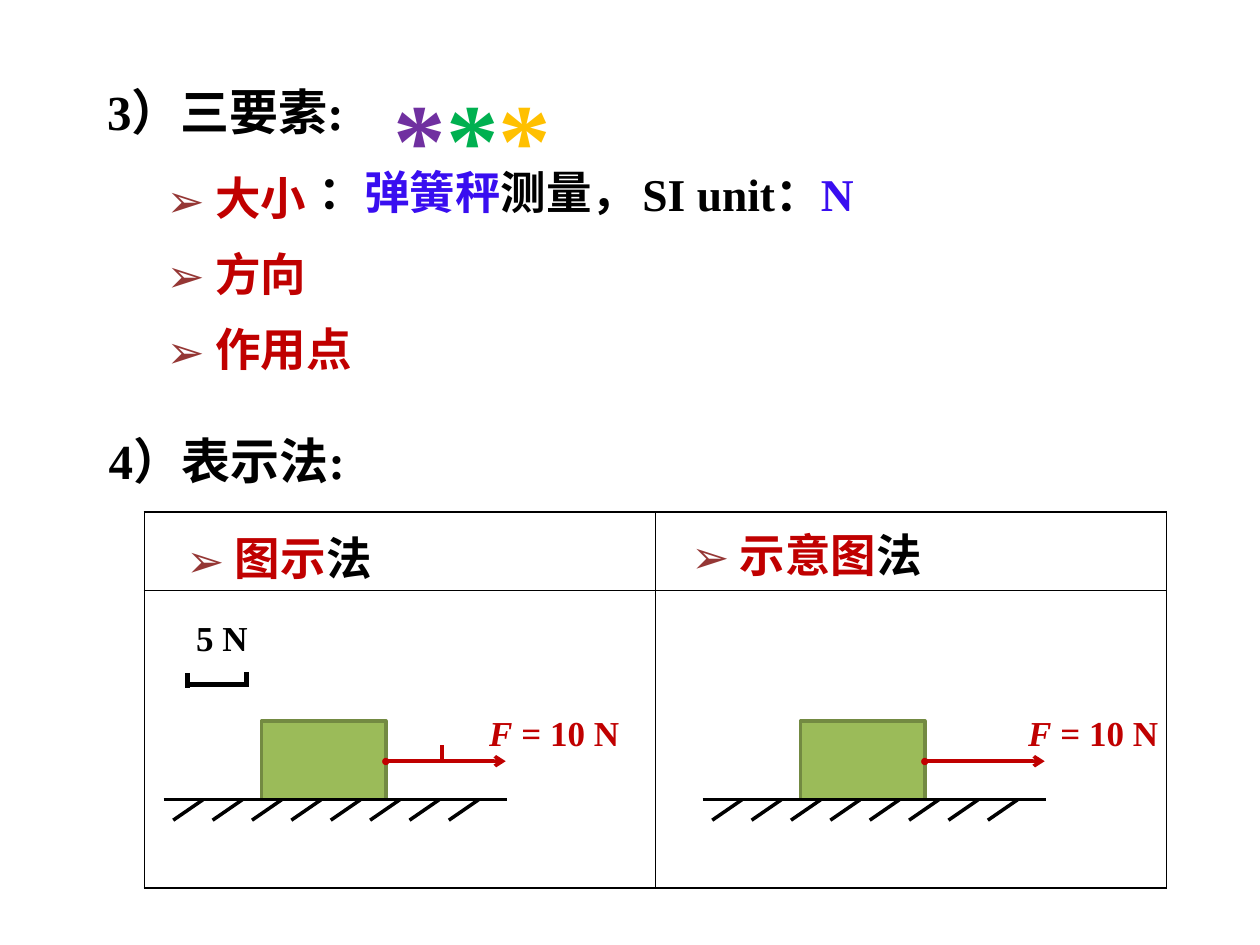
"""Builds a slide on the three elements of a force and how to draw it."""
import pptx
import pptx.dml.color
import pptx.enum.shapes
import pptx.enum.text
import pptx.oxml
import pptx.oxml.ns
import pptx.util

Pt = pptx.util.Pt
RGBColor = pptx.dml.color.RGBColor
BLACK = RGBColor(0, 0, 0)
RED = RGBColor(0xC0, 0, 0)
BLUE = RGBColor(0x39, 0x0E, 0xF0)
BROWN = RGBColor(0x95, 0x37, 0x35)
PURPLE = RGBColor(0x70, 0x30, 0xA0)
GREEN = RGBColor(0, 0xB0, 0x50)
GOLD = RGBColor(0xFF, 0xC0, 0)
BLOCK_FILL = RGBColor(0x9B, 0xBB, 0x59)
BLOCK_EDGE = RGBColor(0x73, 0x8A, 0x42)
SERIF = "Times New Roman"
CJK = "Noto Sans CJK SC"


def add_xml(parent, tag, **attributes):
    """Append a drawing element to a parent and return it."""
    element = pptx.oxml.parse_xml(f"<a:{tag} {pptx.oxml.ns.nsdecls('a')}/>")
    for name, value in attributes.items():
        element.set(name, str(value))
    parent.append(element)
    return element


def write_runs(paragraph, pieces, size, font=SERIF, bold=True):
    """Write coloured pieces of text into a paragraph."""
    for words, colour in pieces:
        run = paragraph.add_run()
        run.text = words
        run.font.size = Pt(size)
        run.font.name = font
        run.font.bold = bold
        run.font.color.rgb = colour


def write_bullet(paragraph, pieces):
    """Write a line headed by an arrow bullet."""
    write_runs(paragraph, [(" ", BROWN)], 26, CJK)
    write_runs(paragraph, pieces, 26)
    properties = paragraph._p.get_or_add_pPr()
    properties.set("marL", "0")
    properties.set("indent", "0")
    colour = add_xml(properties, "buClr")
    add_xml(colour, "srgbClr", val=BROWN)
    add_xml(properties, "buFont", typeface=CJK)
    add_xml(properties, "buChar", char="➢")


def place(shape, left, top, width, height):
    """Move a placeholder and let its text start at the top."""
    shape.left, shape.top = Pt(left), Pt(top)
    shape.width, shape.height = Pt(width), Pt(height)
    shape.text_frame.auto_size = pptx.enum.text.MSO_AUTO_SIZE.NONE
    shape.text_frame.vertical_anchor = pptx.enum.text.MSO_ANCHOR.TOP


def add_text(slide, box, pieces, size, **style):
    """Add a text box and return its paragraph."""
    frame = slide.shapes.add_textbox(*map(Pt, box)).text_frame
    frame.word_wrap = True
    paragraph = frame.paragraphs[0]
    write_runs(paragraph, pieces, size, **style)
    return paragraph


def add_line(slide, start, end, colour=BLACK, weight=2, arrow=False):
    """Add a straight line, with an arrowhead if asked."""
    line = slide.shapes.add_connector(
        pptx.enum.shapes.MSO_CONNECTOR.STRAIGHT, *map(Pt, start + end))
    line.line.color.rgb = colour
    line.line.width = Pt(weight)
    if arrow:
        add_xml(line.line._get_or_add_ln(), "tailEnd", type="arrow")
    add_xml(line._element.spPr, "effectLst")


def add_grid(slide):
    """Add the empty two by two table with thin black borders."""
    frame = slide.shapes.add_table(2, 2, Pt(82.5), Pt(292.5), Pt(584), Pt(215))
    table = frame.table
    table.first_row = table.horz_banding = False
    for column in table.columns:
        column.width = Pt(292)
    for row, height in zip(table.rows, (45, 170)):
        row.height = Pt(height)
    for cell in table.iter_cells():
        properties = cell._tc.get_or_add_tcPr()
        for side in ("lnL", "lnR", "lnT", "lnB"):
            border = add_xml(properties, side, w=Pt(1))
            fill = add_xml(border, "solidFill")
            add_xml(fill, "srgbClr", val=BLACK)
        cell.fill.background()


def add_pulled_block(slide, left):
    """Draw a block on hatched ground pulled by a labelled force."""
    for index in range(8):
        top = left + 22.5 + 22.5 * index
        add_line(slide, (top, 457), (top - 17, 468.7))
    block = slide.shapes.add_shape(
        pptx.enum.shapes.MSO_SHAPE.RECTANGLE,
        Pt(left + 56), Pt(412), Pt(71), Pt(45))
    block.shadow.inherit = False
    block.fill.solid()
    block.fill.fore_color.rgb = BLOCK_FILL
    block.line.color.rgb = BLOCK_EDGE
    block.line.width = Pt(2)
    add_line(slide, (left, 457), (left + 196.5, 457))
    add_line(slide, (left + 128, 435), (left + 195.5, 435), RED, arrow=True)
    force = add_text(slide, (left + 179, 403, 113, 32),
                     [("F", RED), (" = 10 N", RED)], 20)
    force.runs[0].font.italic = True
    dot = add_text(slide, (left + 115, 425.5, 24, 18), [("●", RED)], 9,
                   font="Calibri", bold=False)
    dot.alignment = pptx.enum.text.PP_ALIGN.CENTER


def add_scale(slide):
    """Draw the 5 N scale bar and its label."""
    add_line(slide, (107, 391), (141, 391), weight=3)
    for end, top in ((107, 384.5), (141, 384)):
        add_line(slide, (end, top), (end, top + 8.5), weight=3)
    add_text(slide, (105, 349, 63, 32), [("5 N", BLACK)], 20)


def main():
    """Build and save the slide."""
    deck = pptx.Presentation()
    deck.slide_width, deck.slide_height = Pt(720), Pt(540)
    slide = deck.slides.add_slide(deck.slide_layouts[1])
    add_grid(slide)

    heading = slide.shapes.title
    place(heading, 54, 43, 193, 51)
    heading_line = heading.text_frame.paragraphs[0]
    heading_line.alignment = pptx.enum.text.PP_ALIGN.LEFT
    write_runs(heading_line, [("3）三要素:", BLACK)], 28)

    elements = slide.placeholders[1]
    place(elements, 88, 82, 210, 136)
    lines = elements.text_frame
    for index, element in enumerate(("大小", "方向", "作用点")):
        line = lines.add_paragraph() if index else lines.paragraphs[0]
        line.line_spacing = Pt(43)
        line.space_before = Pt(0)
        write_bullet(line, [(element, RED)])

    add_text(slide, (360, 91.5, 181, 39), [("SI unit：", BLACK), ("N", BLUE)], 26)
    add_text(slide, (175, 90, 175, 39),
             [("：", BLACK), ("弹簧秤", BLUE), ("测量，", BLACK)], 26)
    stars = add_text(slide, (218, 16.5, 130, 92),
                     [("*", PURPLE), ("*", GREEN), ("*", GOLD)], 60)
    stars.line_spacing = 1.3

    add_text(slide, (55, 242.5, 158, 51), [("4）表示法:", BLACK)], 28)
    for box, method in (((99.5, 299.5, 199, 39), "图示"),
                        ((388, 297.5, 199, 39), "示意图")):
        write_bullet(add_text(slide, box, [], 26), [(method, RED), ("法", BLACK)])

    add_scale(slide)
    for left in (93.5, 401.5):
        add_pulled_block(slide, left)
    add_line(slide, (252.5, 435), (252.5, 426), RED)
    deck.save("out.pptx")


main()
